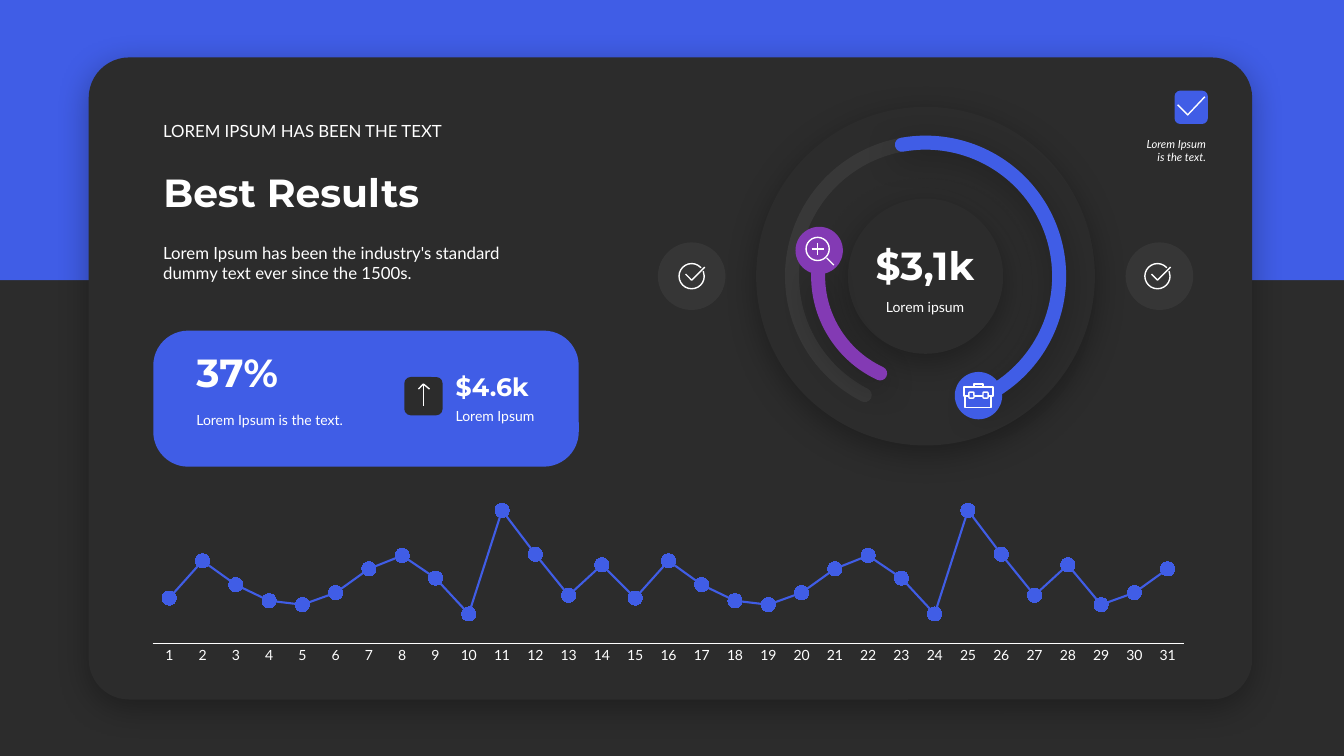
from lxml.etree import SubElement
from pptx import Presentation
from pptx.chart.data import CategoryChartData
from pptx.dml.color import RGBColor
from pptx.enum.chart import XL_CHART_TYPE, XL_MARKER_STYLE, XL_TICK_MARK
from pptx.enum.shapes import MSO_SHAPE
from pptx.enum.text import MSO_ANCHOR, MSO_AUTO_SIZE, PP_ALIGN
from pptx.oxml.ns import qn
from pptx.util import Inches, Pt

BLUE = RGBColor(0x40, 0x5D, 0xE6)
DARK = RGBColor(0x2C, 0x2C, 0x2C)
PURPLE = RGBColor(0x83, 0x3A, 0xB4)
WHITE = RGBColor(0xFF, 0xFF, 0xFF)

LEFT, CENTER, RIGHT = PP_ALIGN.LEFT, PP_ALIGN.CENTER, PP_ALIGN.RIGHT
TOP, BOTTOM = MSO_ANCHOR.TOP, MSO_ANCHOR.BOTTOM
TITLE = ("Best Results", (1.52, 1.62, 3.68, 0.57), 28, LEFT, BOTTOM, 0.1)
TEXTS = [
    ("Lorem Ipsum has been the industry's standard dummy text ever since the 1500s.",
     (1.52, 2.36, 3.68, 0.5), 12, LEFT, TOP, 0.1),
    ("LOREM IPSUM HAS BEEN THE TEXT", (1.52, 1.15, 3.68, 0.3), 12, LEFT, BOTTOM, 0.1),
    ("Lorem ipsum", (8.36, 2.91, 1.63, 0.27), 10, CENTER, TOP, 0.1),
    ("$3,1k", (8.36, 2.34, 1.63, 0.57), 28, CENTER, BOTTOM, 0.08),
    ("Lorem Ipsum is the text.", (11.24, 1.31, 0.82, 0.37), 8, RIGHT, TOP, 0.1),
    ("Lorem Ipsum is the text.", (1.85, 4.03, 1.84, 0.27), 10, LEFT, TOP, 0.1),
    ("37%", (1.85, 3.4, 1.88, 0.57), 28, LEFT, BOTTOM, 0.1),
    ("Lorem Ipsum", (4.52, 3.99, 1.04, 0.27), 10, LEFT, TOP, 0),
    ("$4.6k", (4.52, 3.63, 1.04, 0.4), 18, LEFT, BOTTOM, 0),
]
DAILY_VALUES = [34, 62, 44, 32, 29, 38, 56, 66, 49, 22, 100, 67, 36, 59, 34, 62,
                44, 32, 29, 38, 56, 66, 49, 22, 100, 67, 36, 59, 29, 38, 56]
CHART_BOX = (1.3, 4.8, 10.66, 1.84)
PLOT_LAYOUT = {"x": 0.02, "y": 0, "w": 0.96, "h": 0.86}
GAUGE_CENTER = (9.18, 2.74)
CHECK_CENTERS = [(6.86, 2.74), (11.48, 2.74)]
CHECK_DISC_CENTERS = [(6.86, 2.74), (11.5, 2.74)]
ICON_STROKES = [
    [(11.68, 1.04), (11.78, 1.14), (11.95, 0.96)],
    [(4.2, 4.03), (4.2, 3.81)],
    [(4.15, 3.86), (4.2, 3.81), (4.26, 3.86)],
    [(8.05, 2.47), (8.17, 2.47)],
    [(8.11, 2.41), (8.11, 2.53)],
    [(8.2, 2.56), (8.27, 2.63)],
    [(9.66, 3.83), (9.66, 3.81), (9.75, 3.81), (9.75, 3.83)],
    [(9.57, 3.93), (9.57, 4.04), (9.83, 4.04), (9.83, 3.93)],
    [(9.61, 3.93), (9.56, 3.93), (9.56, 3.84), (9.85, 3.84), (9.85, 3.93), (9.8, 3.93)],
    [(9.66, 3.93), (9.75, 3.93)],
]
CLASPS = [(9.61, 3.89, 0.05, 0.06), (9.75, 3.89, 0.05, 0.06)]


def lengths(box):
    return [Inches(value) for value in box]


def around(center, size):
    return (center[0] - size / 2, center[1] - size / 2, size, size)


def set_alpha(color_parent, percent):
    color = next(color_parent.iter(qn("a:srgbClr")))
    SubElement(color, qn("a:alpha"), val=str(percent * 1000))


def add_soft_shadow(shape):
    effects = shape.element.spPr.find(qn("a:effectLst"))
    shadow = SubElement(effects, qn("a:outerShdw"), blurRad=str(Pt(23)), dist=str(Pt(6)),
                        dir="5400000", algn="t", rotWithShape="0")
    SubElement(shadow, qn("a:srgbClr"), val="000000")
    set_alpha(shadow, 30)


def add_shape(slide, kind, box, fill=None, line=None, width=1, soft=False, rounding=None):
    shape = slide.shapes.add_shape(kind, *lengths(box))
    shape.shadow.inherit = False
    if fill is None:
        shape.fill.background()
    else:
        shape.fill.solid()
        shape.fill.fore_color.rgb = fill
    if line is None:
        shape.line.fill.background()
    else:
        shape.line.color.rgb = line
        shape.line.width = Pt(width)
    if rounding is not None:
        shape.adjustments[0] = rounding
    if soft:
        add_soft_shadow(shape)
    return shape


def add_arc(slide, size, start, end, color, center=GAUGE_CENTER, width=10, soft=False):
    arc = add_shape(slide, MSO_SHAPE.ARC, around(center, size), line=color, width=width, soft=soft)
    arc.adjustments[0] = start * 0.6
    arc.adjustments[1] = end * 0.6
    arc.line._get_or_add_ln().set("cap", "rnd")
    return arc


def add_stroke(slide, points):
    first, *rest = [lengths(point) for point in points]
    builder = slide.shapes.build_freeform(*first, scale=1.0)
    builder.add_line_segments(rest, close=False)
    stroke = builder.convert_to_shape()
    stroke.shadow.inherit = False
    stroke.fill.background()
    stroke.line.color.rgb = WHITE
    stroke.line.width = Pt(1)


def write_text(box, text, size, align, anchor, inset):
    frame = box.text_frame
    frame.text = text
    frame.word_wrap = True
    frame.auto_size = MSO_AUTO_SIZE.SHAPE_TO_FIT_TEXT
    frame.vertical_anchor = anchor
    frame.margin_left = frame.margin_right = Inches(inset)
    frame.margin_top = frame.margin_bottom = Inches(0.05)
    para = frame.paragraphs[0]
    para.alignment = align
    if align == CENTER:
        para.space_after = Pt(6)
    font = para.runs[0].font
    font.size = Pt(size)
    font.name = "Montserrat" if size >= 18 else "Lato"
    font.bold = size >= 18
    font.italic = size == 8
    font.color.rgb = WHITE


def add_gauge(slide):
    add_shape(slide, MSO_SHAPE.OVAL, around(GAUGE_CENTER, 3.36), DARK, soft=True)
    track = add_arc(slide, 2.65, 117.1, 66.1, WHITE)
    set_alpha(track.line._get_or_add_ln(), 5)
    add_shape(slide, MSO_SHAPE.OVAL, around(GAUGE_CENTER, 1.54), DARK, soft=True)
    add_arc(slide, 2.65, 259.8, 65.7, BLUE, soft=True)
    add_arc(slide, 2.13, 115, 181.3, PURPLE, soft=True)
    add_shape(slide, MSO_SHAPE.OVAL, (9.47, 3.69, 0.47, 0.47), BLUE)
    add_shape(slide, MSO_SHAPE.OVAL, (7.89, 2.25, 0.47, 0.47), PURPLE)


def add_icons(slide):
    for center in CHECK_DISC_CENTERS:
        disc = add_shape(slide, MSO_SHAPE.OVAL, around(center, 0.67), WHITE)
        set_alpha(disc.element.spPr, 5)
    for x, y in CHECK_CENTERS:
        add_arc(slide, 0.25, 338, 317, WHITE, center=(x, y), width=1)
        add_stroke(slide, [(x - 0.06, y - 0.02), (x, y + 0.04), (x + 0.13, y - 0.09)])
    add_shape(slide, MSO_SHAPE.OVAL, around((8.11, 2.47), 0.23), line=WHITE)
    for clasp in CLASPS:
        add_shape(slide, MSO_SHAPE.ROUNDED_RECTANGLE, clasp, line=WHITE)
    for points in ICON_STROKES:
        add_stroke(slide, points)


def add_daily_chart(slide):
    data = CategoryChartData()
    data.categories = [str(day) for day in range(1, len(DAILY_VALUES) + 1)]
    data.add_series("Series 1", DAILY_VALUES)
    chart = slide.shapes.add_chart(
        XL_CHART_TYPE.LINE_MARKERS_STACKED, *lengths(CHART_BOX), data).chart
    chart.has_legend = False
    chart.has_title = False
    chart.font.size = Pt(10)
    chart.font.name = "Lato"
    chart.font.color.rgb = WHITE
    days, amounts = chart.category_axis, chart.value_axis
    days.major_tick_mark = days.minor_tick_mark = XL_TICK_MARK.NONE
    days.has_major_gridlines = False
    days.format.line.color.rgb = WHITE
    days.format.line.width = Pt(0.75)
    amounts.visible = False
    amounts.has_major_gridlines = False
    amounts.minimum_scale, amounts.maximum_scale = 0, 120
    chart.plots[0].vary_by_categories = False
    series = chart.plots[0].series[0]
    series.smooth = False
    series.format.line.color.rgb = BLUE
    series.format.line.width = Pt(1.5)
    series.marker.style = XL_MARKER_STYLE.CIRCLE
    series.marker.size = 10
    series.marker.format.fill.solid()
    series.marker.format.fill.fore_color.rgb = BLUE
    series.marker.format.line.color.rgb = BLUE
    plot_area = next(chart.element.iter(qn("c:plotArea")))
    layout = plot_area.find(qn("c:layout"))
    if layout is None:
        layout = SubElement(plot_area, qn("c:layout"))
        plot_area.insert(0, layout)
    manual = SubElement(layout, qn("c:manualLayout"))
    SubElement(manual, qn("c:layoutTarget"), val="inner")
    for side in ("x", "y"):
        SubElement(manual, qn(f"c:{side}Mode"), val="edge")
    for side, share in PLOT_LAYOUT.items():
        SubElement(manual, qn(f"c:{side}"), val=str(share))


def main():
    deck = Presentation()
    deck.slide_width, deck.slide_height = Inches(13.33), Inches(7.5)
    slide = deck.slides.add_slide(deck.slide_layouts[5])
    slide.background.fill.solid()
    slide.background.fill.fore_color.rgb = DARK
    rounded = MSO_SHAPE.ROUNDED_RECTANGLE
    add_shape(slide, MSO_SHAPE.RECTANGLE, (0, 0, 13.33, 2.78), BLUE)
    panel = add_shape(slide, rounded, (0.88, 0.57, 11.54, 6.37), DARK, soft=True, rounding=0.063)
    title = slide.shapes.title
    panel.element.addnext(title.element)
    title.left, title.top, title.width, title.height = lengths(TITLE[1])
    write_text(title, TITLE[0], *TITLE[2:])
    add_gauge(slide)
    add_shape(slide, rounded, (11.65, 0.9, 0.33, 0.33), BLUE)
    add_shape(slide, rounded, (1.52, 3.28, 4.22, 1.35), BLUE, rounding=0.257)
    add_shape(slide, rounded, (4.01, 3.74, 0.38, 0.38), DARK)
    add_icons(slide)
    for text, box, *style in TEXTS:
        write_text(slide.shapes.add_textbox(*lengths(box)), text, *style)
    add_daily_chart(slide)
    deck.save("out.pptx")


if __name__ == "__main__":
    main()
